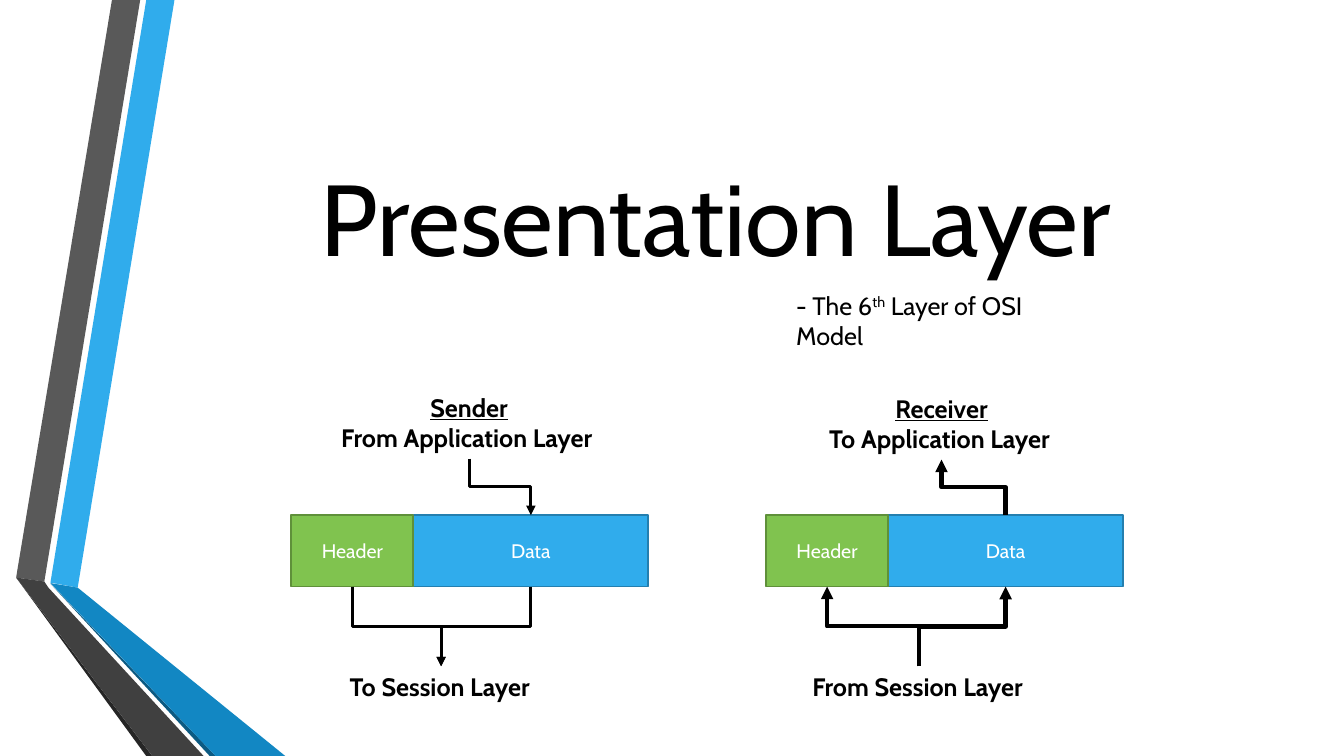
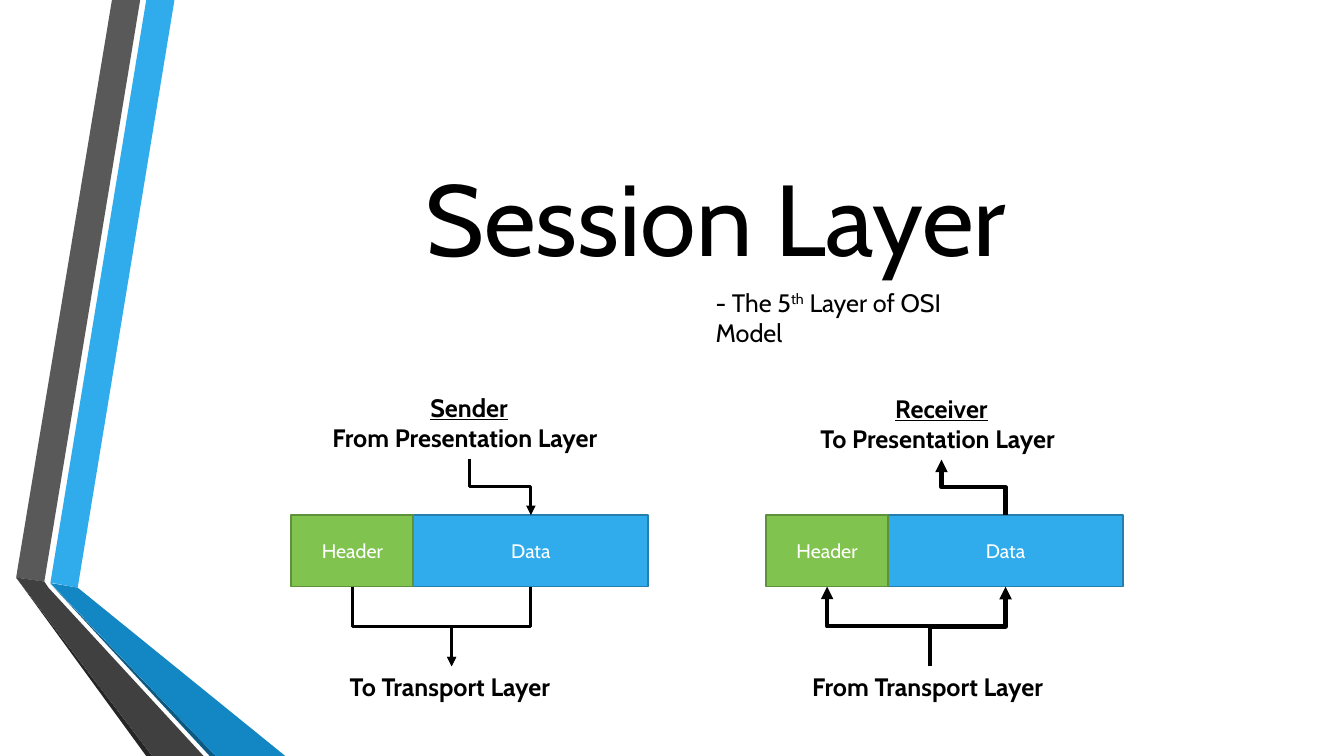
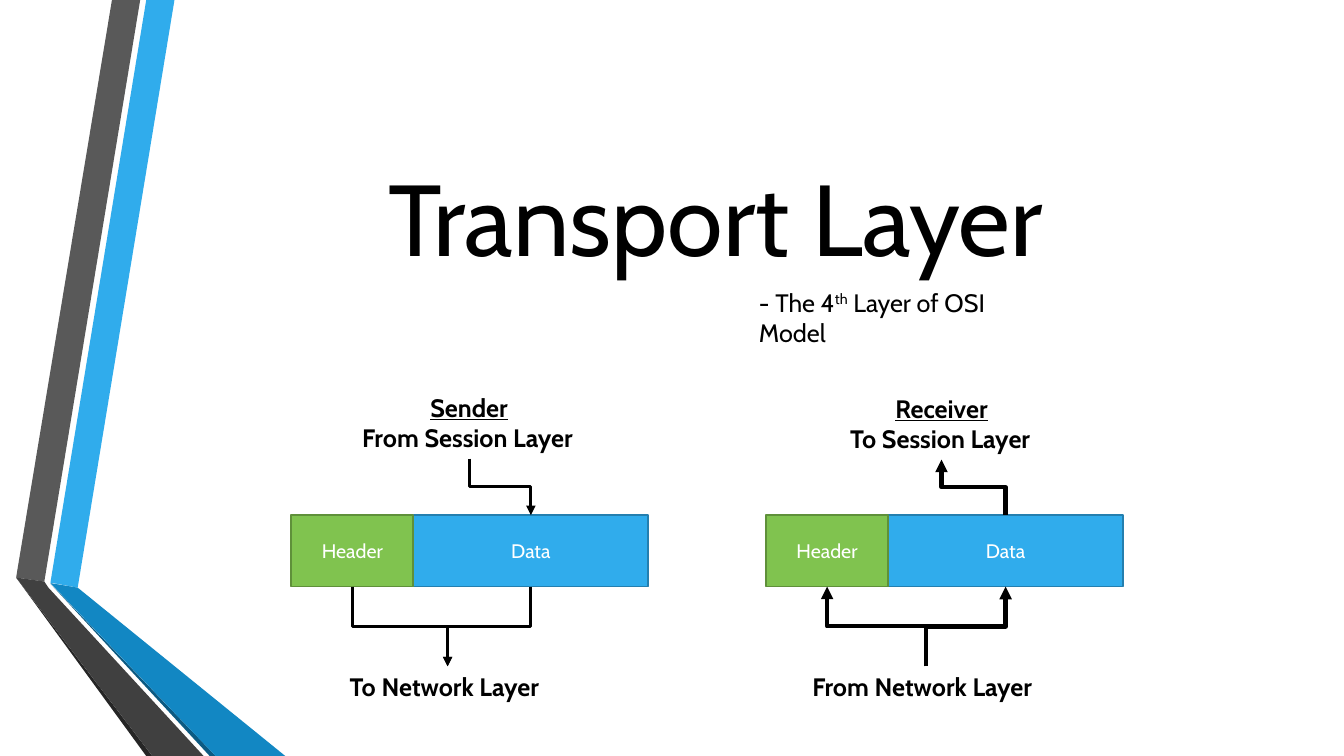
from lxml import etree
from pptx import Presentation, util as u
from pptx.dml.color import RGBColor
from pptx.enum import shapes, text
from pptx.oxml.ns import qn

FONT = "Cabin"
COLORS = {
    "blue": "30ACEC", "blue_line": "247FAF", "blue_fold": "1287C3", "blue_edge": "0C5A82",
    "grey": "595959", "grey_fold": "404040", "grey_edge": "262626",
    "green": "80C34F", "green_line": "5F903A", "black": "000000", "white": "FFFFFF",
}
RGB = {name: RGBColor.from_string(value) for name, value in COLORS.items()}

# All places and sizes are percentages of the slide's width (x) and height (y).
BANDS = [
    ("blue", [(3.75, 77.07), (5.78, 77.73), (12.98, 0), (10.88, 0)]),
    ("grey", [(10.43, 0), (8.33, 0), (1.2, 76.4), (3.3, 76.93)]),
    ("grey_edge", [(1.2, 76.4), (10.88, 100), (11.33, 100)]),
    ("blue_edge", [(3.75, 77.2), (15.6, 100), (16.05, 100)]),
    ("blue_fold", [(3.75, 77.13), (16.05, 100), (21.23, 100), (5.78, 77.73)]),
    ("grey_fold", [(15.15, 100), (3.6, 77.73), (3.3, 76.93), (1.2, 76.4), (11.33, 100)]),
]
LABEL_W = {"Application": 18.2, "Presentation": 19.5, "Session": 15.08,
           "Transport": 16.65, "Network": 16.05}
FROM_EXTRA = 2.3  # "From" is this much wider than "To"
HEADER_W, DATA_W = 9.08, 17.48
BOX_TOP, BOX_H = 68.13, 9.47
BOX_BOTTOM = BOX_TOP + BOX_H
BELOW_TOP, LINE_H = 88.13, 5.33

# name, word above, word below, box left, centre above, top above, left below, line width
SIDES = [
    ("Sender", "From", "To", 21.68, 34.9, 51.2, 25.28, 2.25),
    ("Receiver", "To", "From", 57, 70.05, 51.33, 59.7, 3),
]
# layer, number, layer above, layer below, subtitle left, subtitle top
LAYERS = [
    ("Presentation", 6, "Application", "Session", 58.5, 37.73),
    ("Session", 5, "Presentation", "Transport", 52.5, 37.33),
    ("Transport", 4, "Session", "Network", 55.73, 37.33),
]

prs = Presentation()
prs.slide_width, prs.slide_height = u.Inches(13.33), u.Inches(7.5)
blank = prs.slide_layouts[6]


def emu(*shares):
    """Turn alternating x and y percentages into lengths."""
    sides = (prs.slide_width, prs.slide_height)
    return [int(sides[i % 2] * share / 100) for i, share in enumerate(shares)]


def add_elbow(s, start, end, width):
    """Draw an arrow that leaves and arrives vertically: a turned elbow."""
    x1, y1, x2, y2 = emu(*start, *end)
    mid_x, mid_y = (x1 + x2) // 2, (y1 + y2) // 2
    half_len, half_w = abs(y2 - y1) // 2, abs(x2 - x1) // 2
    down = y2 > y1
    if down == (x2 > x1):  # down-right and up-left are mirrored
        half_w = -half_w
    c = s.shapes.add_connector(shapes.MSO_CONNECTOR.ELBOW, mid_x - half_len, mid_y - half_w,
                               mid_x + half_len, mid_y + half_w)
    c.line.color.rgb, c.line.width = RGB["black"], u.Pt(width)
    spPr = c.element.spPr
    spPr.find(qn("a:xfrm")).set("rot", "5400000" if down else "16200000")
    etree.SubElement(spPr.find(qn("a:ln")), qn("a:tailEnd"), type="triangle")
    etree.SubElement(spPr, qn("a:effectLst"))


for number, (layer, ordinal, above, below, sub_x, sub_y) in enumerate(LAYERS):
    s = prs.slides.add_slide(blank)

    if number == 0:  # the bands are moved to the layout, which all slides share
        for color, points in BANDS:
            corners = [emu(*point) for point in points]
            builder = s.shapes.build_freeform(*corners[0])
            builder.add_line_segments(corners[1:], close=True)
            sp = builder.convert_to_shape()
            sp.shadow.inherit = False
            sp.fill.solid()
            sp.fill.fore_color.rgb = RGB[color]
            sp.line.fill.background()
            blank.shapes.element.append(sp.element)

    sp = s.shapes.add_textbox(*emu(12.15, 4.8, 82.2, 47.47))
    tf = sp.text_frame
    tf.word_wrap, tf.vertical_anchor = True, text.MSO_ANCHOR.MIDDLE
    p = tf.paragraphs[0]
    p.text, p.alignment = f"{layer} Layer", text.PP_ALIGN.CENTER
    p.font.size, p.font.name, p.font.color.rgb = u.Pt(72), FONT, RGB["black"]

    sp = s.shapes.add_textbox(*emu(sub_x, sub_y, 23.03, LINE_H))
    sp.text_frame.word_wrap = True
    p = sp.text_frame.paragraphs[0]
    p.font.size, p.font.name, p.font.color.rgb = u.Pt(18), FONT, RGB["black"]
    for part in (f"- The {ordinal}", "th", " Layer of OSI Model"):
        r = p.add_run()
        r.text = part
        if part == "th":
            r._r.get_or_add_rPr().set("baseline", "30000")

    for side, word_above, word_below, box_x, above_mid, above_y, below_x, line_w in SIDES:
        above_w = LABEL_W[above] + FROM_EXTRA * (word_above == "From")
        below_w = LABEL_W[below] + FROM_EXTRA * (word_below == "From")
        labels = [
            ((above_mid - above_w / 2, above_y, above_w, BOX_H),
             [side, f"{word_above} {above} Layer"]),
            ((below_x, BELOW_TOP, below_w, LINE_H), [f"{word_below} {below} Layer"]),
        ]
        for place, lines in labels:
            sp = s.shapes.add_textbox(*emu(*place))
            tf = sp.text_frame
            tf.word_wrap, tf.auto_size = False, text.MSO_AUTO_SIZE.SHAPE_TO_FIT_TEXT
            tf.text = "\n".join(lines)
            for p in tf.paragraphs:
                p.font.size, p.font.name, p.font.bold = u.Pt(18), FONT, True
                p.font.color.rgb = RGB["black"]
            if len(lines) > 1:
                tf.paragraphs[0].alignment = text.PP_ALIGN.CENTER
                tf.paragraphs[0].font.underline = True

        data_x = box_x + HEADER_W
        for name, color, x, w in (("Data", "blue", data_x, DATA_W),
                                  ("Header", "green", box_x, HEADER_W)):
            sp = s.shapes.add_shape(shapes.MSO_SHAPE.RECTANGLE, *emu(x, BOX_TOP, w, BOX_H))
            sp.shadow.inherit = False
            sp.fill.solid()
            sp.fill.fore_color.rgb = RGB[color]
            sp.line.color.rgb, sp.line.width = RGB[f"{color}_line"], u.Pt(1.25)
            sp.text_frame.vertical_anchor = text.MSO_ANCHOR.MIDDLE
            p = sp.text_frame.paragraphs[0]
            p.text, p.alignment = name, text.PP_ALIGN.CENTER
            p.font.size, p.font.name, p.font.color.rgb = u.Pt(14), FONT, RGB["white"]

        header_mid, data_mid = box_x + HEADER_W / 2, data_x + DATA_W / 2
        below_end = (below_x + below_w / 2, BELOW_TOP)
        flows = [
            ((above_mid, above_y + BOX_H), (data_mid, BOX_TOP)),
            ((header_mid, BOX_BOTTOM), below_end),
            ((data_mid, BOX_BOTTOM), below_end),
        ]
        for start, end in flows:
            if side == "Receiver":  # data travels upwards
                start, end = end, start
            add_elbow(s, start, end, line_w)

prs.save("out.pptx")
